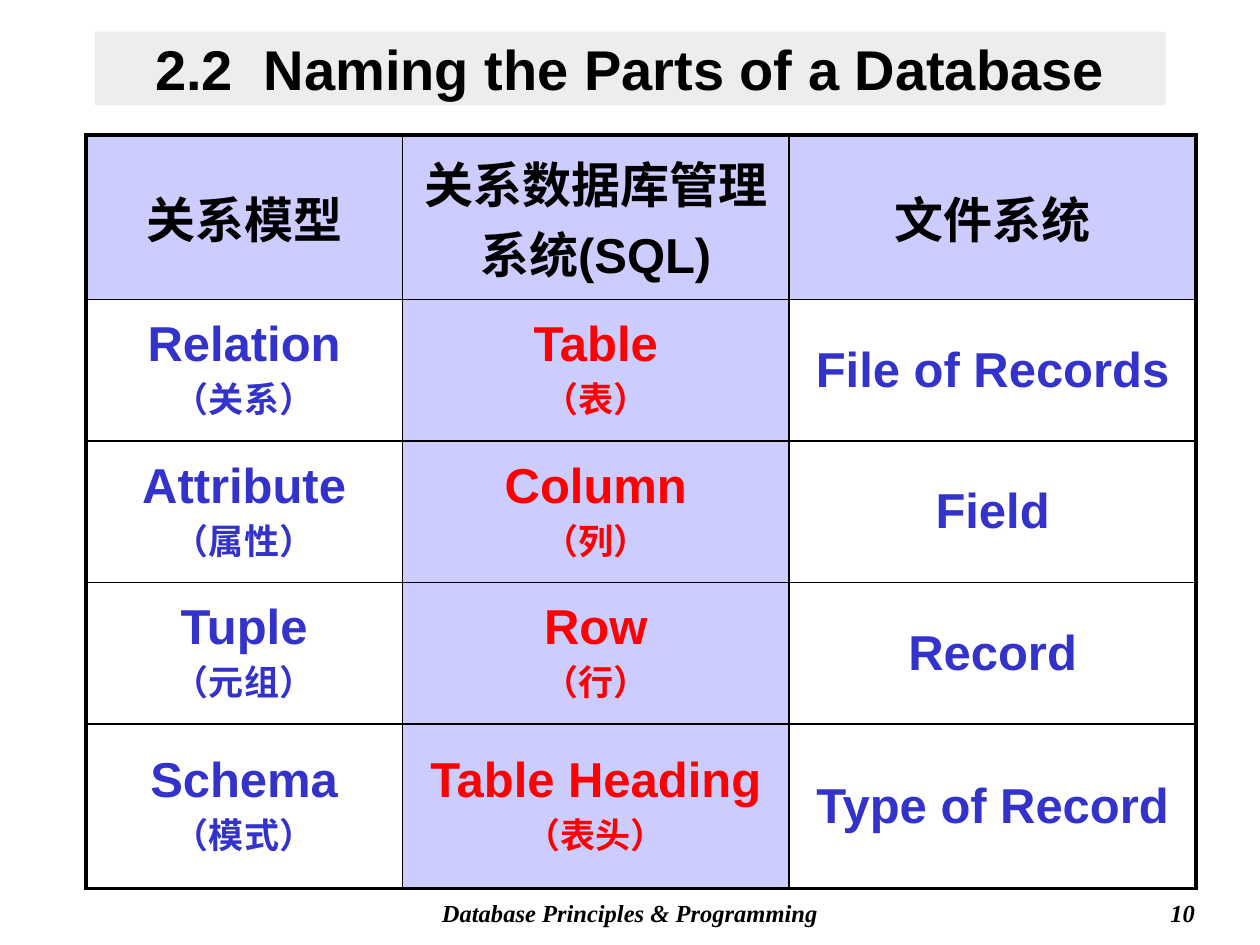
from dataclasses import dataclass

from lxml.etree import SubElement
from pptx import Presentation
from pptx.dml.color import RGBColor
from pptx.enum.shapes import MSO_SHAPE
from pptx.enum.text import MSO_ANCHOR, PP_ALIGN
from pptx.oxml.ns import qn
from pptx.util import Cm, Pt


@dataclass(frozen=True)
class Theme:
    black: str = "000000"
    band: str = "DDDDDD"
    lilac: str = "CCCCFF"
    blue: str = "3333CC"
    red: str = "FF0000"
    sans: str = "Arial"
    serif: str = "Times New Roman"
    title: int = 32
    term: int = 28
    gloss: int = 20
    footer: int = 14
    outer_line: float = 2.25
    inner_line: float = 1


THEME = Theme()
COLUMN_WIDTHS = (6.38, 7.8, 8.2)
ROW_HEIGHTS = (3.32, 2.85, 2.85, 2.85, 3.32)
TERM_COLORS = (THEME.blue, THEME.red, THEME.blue)
SQL_COLUMN = 1
ROWS = (
    (("关系模型",), ("关系数据库管理系统(SQL)",), ("文件系统",)),
    (("Relation", "（关系）"), ("Table", "（表）"), ("File of Records",)),
    (("Attribute", "（属性）"), ("Column", "（列）"), ("Field",)),
    (("Tuple", "（元组）"), ("Row", "（行）"), ("Record",)),
    (("Schema", "（模式）"), ("Table Heading", "（表头）"), ("Type of Record",)),
)


def write(p, text, size, color=THEME.black, name=THEME.sans,
          align=PP_ALIGN.CENTER, italic=False):
    p.add_run().text = text
    p.alignment = align
    p.font.size = Pt(size)
    p.font.name = name
    p.font.bold = True
    p.font.italic = italic
    p.font.color.rgb = RGBColor.from_string(color)


def add_title(s, text):
    sp = s.shapes.add_shape(MSO_SHAPE.RECTANGLE, Cm(1.91), Cm(0.64), Cm(21.59), Cm(1.48))
    sp.shadow.inherit = False
    sp.line.fill.background()
    sp.fill.solid()
    sp.fill.fore_color.rgb = RGBColor.from_string(THEME.band)
    color = sp.fill._xPr.find(qn("a:solidFill"))[0]
    SubElement(color, qn("a:alpha"), val="50000")
    tf = sp.text_frame
    tf.word_wrap = True
    tf.vertical_anchor = MSO_ANCHOR.MIDDLE
    write(tf.paragraphs[0], text, THEME.title)


def add_footer(s, text, left, width, align):
    tf = s.shapes.add_textbox(Cm(left), Cm(17.98), Cm(width), Cm(0.84)).text_frame
    tf.word_wrap = True
    write(tf.paragraphs[0], text, THEME.footer, name=THEME.serif, align=align, italic=True)


def set_borders(cell, outer_sides):
    tc_pr = cell._tc.get_or_add_tcPr()
    for side in "LRTB":
        width = THEME.outer_line if side in outer_sides else THEME.inner_line
        ln = SubElement(tc_pr, qn(f"a:ln{side}"), w=str(Pt(width)))
        fill = SubElement(ln, qn("a:solidFill"))
        SubElement(fill, qn("a:srgbClr"), val=THEME.black)


def fill_cell(cell, lines, color, shaded):
    cell.vertical_anchor = MSO_ANCHOR.MIDDLE
    if shaded:
        cell.fill.solid()
        cell.fill.fore_color.rgb = RGBColor.from_string(THEME.lilac)
    else:
        cell.fill.background()
    tf = cell.text_frame
    for i, text in enumerate(lines):
        p = tf.add_paragraph() if i else tf.paragraphs[0]
        write(p, text, THEME.gloss if i else THEME.term, color)


def add_terms_table(s):
    n_rows, n_cols = len(ROWS), len(COLUMN_WIDTHS)
    table = s.shapes.add_table(n_rows, n_cols, Cm(1.73), Cm(2.72),
                               Cm(sum(COLUMN_WIDTHS)), Cm(sum(ROW_HEIGHTS))).table
    table.first_row = table.horz_banding = False
    for column, width in zip(table.columns, COLUMN_WIDTHS):
        column.width = Cm(width)
    for row, height in zip(table.rows, ROW_HEIGHTS):
        row.height = Cm(height)
    for r, row in enumerate(ROWS):
        for c, lines in enumerate(row):
            cell = table.cell(r, c)
            edges = {"L": c == 0, "R": c == n_cols - 1, "T": r == 0, "B": r == n_rows - 1}
            set_borders(cell, [side for side, outer in edges.items() if outer])
            color = THEME.black if r == 0 else TERM_COLORS[c]
            fill_cell(cell, lines, color, shaded=r == 0 or c == SQL_COLUMN)


def main():
    prs = Presentation()
    prs.slide_width, prs.slide_height = Cm(25.4), Cm(19.05)
    s = prs.slides.add_slide(prs.slide_layouts[6])
    add_footer(s, "Database Principles & Programming", 7.2, 11, PP_ALIGN.CENTER)
    add_footer(s, "10", 19.05, 5.29, PP_ALIGN.RIGHT)
    add_title(s, "2.2  Naming the Parts of a Database")
    add_terms_table(s)
    prs.save("out.pptx")


if __name__ == "__main__":
    main()
